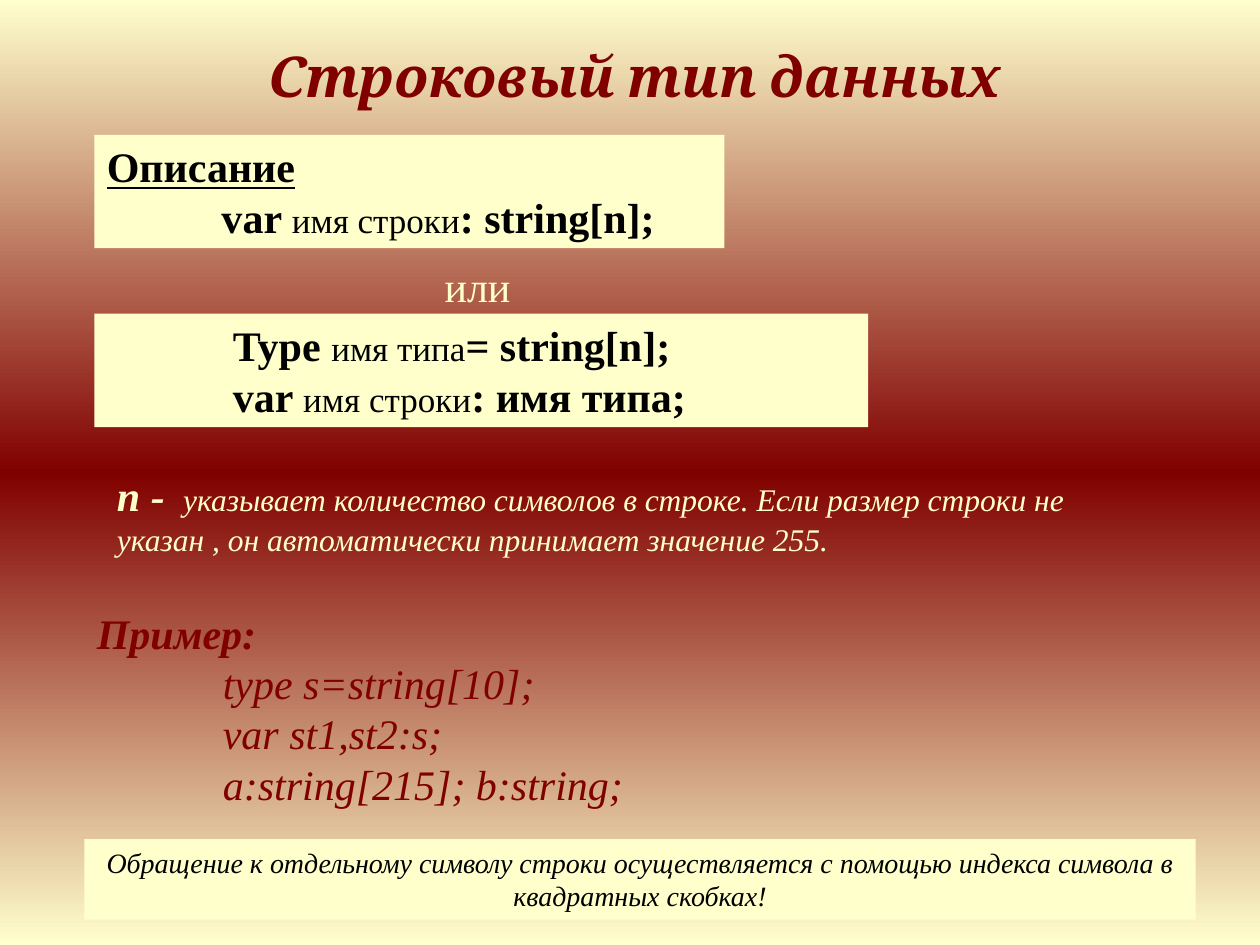
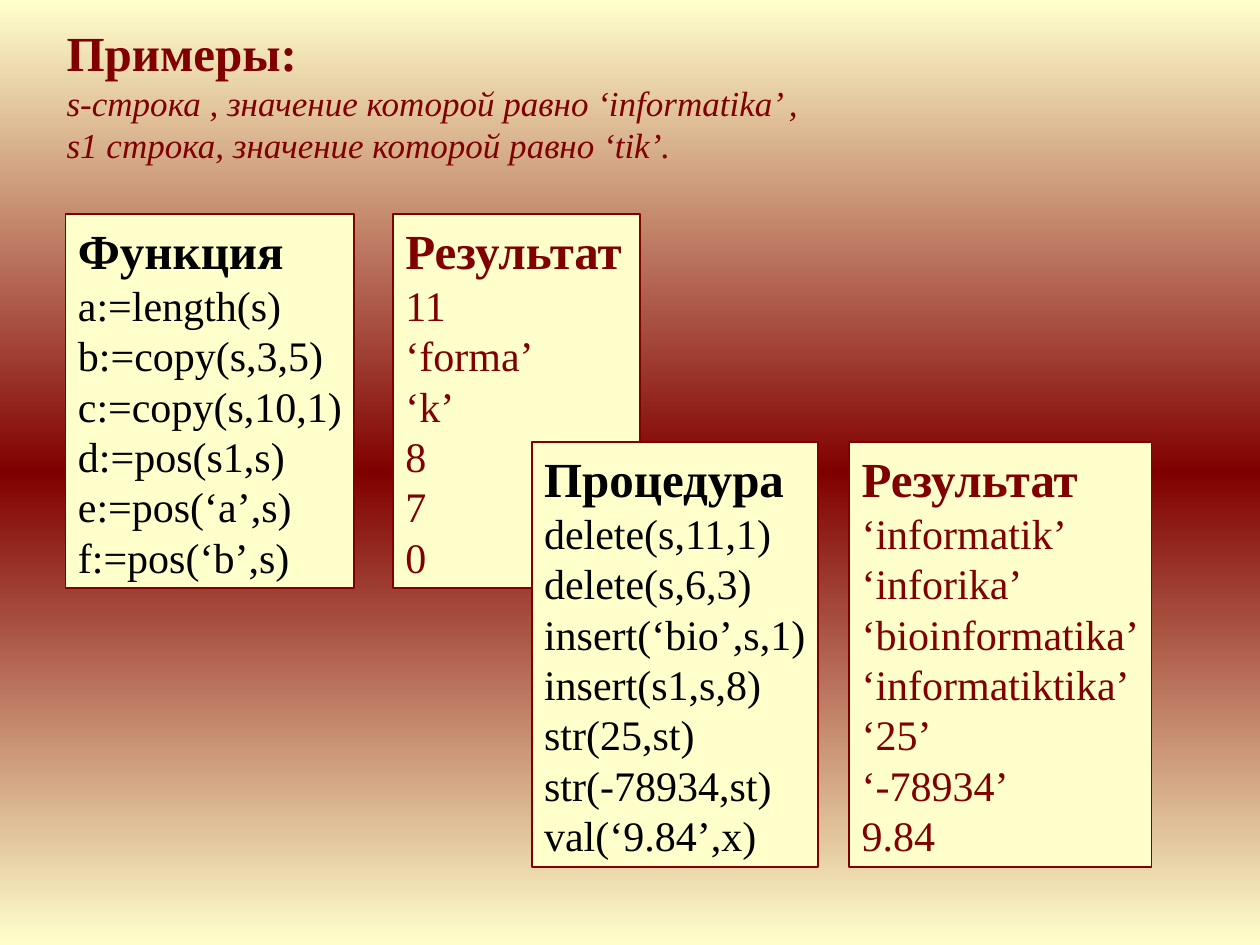
import copy
import dataclasses

import pptx
import pptx.dml.color
import pptx.enum.shapes
import pptx.enum.text
import pptx.oxml.ns
import pptx.util

Inches = pptx.util.Inches
RGB = pptx.dml.color.RGBColor.from_string


@dataclasses.dataclass(frozen=True)
class Theme:
    cream: str = "FFFFCC"
    wine: str = "800000"
    black: str = "000000"
    serif: str = "Times New Roman"
    display: str = "Cambria"
    title: int = 32
    head: int = 28
    code: int = 24
    name: int = 20
    body: int = 18
    note: int = 16


T = Theme()


def new_slide(deck):
    """Add a blank slide with the cream, wine, cream gradient."""
    slide = deck.slides.add_slide(deck.slide_layouts[6])
    fill = slide.background.fill
    fill.gradient()
    fill.gradient_angle = 270
    for stop, color, place in zip(fill.gradient_stops, (T.cream, T.wine), (0, 0.5)):
        stop.color.rgb = RGB(color)
        stop.position = place
    stops = slide.element.find(".//" + pptx.oxml.ns.qn("a:gsLst"))
    last = copy.deepcopy(stops[0])
    last.set("pos", "100000")
    stops.append(last)
    return slide


def write(frame, lines, color, font=T.serif, wrap=True, center=False):
    """Fill a frame; a line is (indent in inches, runs), a run (text, size, style).

    The style holds any of the letters b, i and u.
    """
    frame.word_wrap = wrap
    frame.vertical_anchor = pptx.enum.text.MSO_ANCHOR.TOP
    align = pptx.enum.text.PP_ALIGN
    for num, (indent, runs) in enumerate(lines):
        para = frame.add_paragraph() if num else frame.paragraphs[0]
        para.alignment = align.CENTER if center else align.LEFT
        if indent:
            props = para._p.get_or_add_pPr()
            props.set("marL", str(Inches(indent)))
            props.set("indent", "0")
        for text, size, style in runs:
            run = para.add_run()
            run.text = text
            face = run.font
            face.name = font
            face.size = pptx.util.Pt(size)
            face.color.rgb = RGB(color)
            face.bold = "b" in style
            face.italic = "i" in style
            face.underline = "u" in style


def add_text(slide, box, lines, color, **look):
    shape = slide.shapes.add_textbox(*map(Inches, box))
    write(shape.text_frame, lines, color, **look)


def add_panel(slide, box, lines, color=T.black, edge=False, **look):
    kind = pptx.enum.shapes.MSO_SHAPE.RECTANGLE
    shape = slide.shapes.add_shape(kind, *map(Inches, box))
    shape.shadow.inherit = False
    shape.fill.solid()
    shape.fill.fore_color.rgb = RGB(T.cream)
    if edge:
        shape.line.color.rgb = RGB(T.wine)
        shape.line.width = pptx.util.Pt(1)
    else:
        shape.line.fill.background()
    write(shape.text_frame, lines, color, **look)


def syntax(indent, word, name, rest):
    """Make a line with a plain name between bold code."""
    return indent, [(word + " ", T.code, "b"), (name, T.name, ""), (rest, T.code, "b")]


def add_list(slide, box, head, items, color):
    lines = [(0, [(head, T.head, "b")])]
    lines += [(0, [(item, T.code, "")]) for item in items]
    add_panel(slide, box, lines, color, edge=True, wrap=False)


def add_pair(slide, top, height, columns):
    """Place a list of calls and the list of their results side by side."""
    for (left, width, head, items), color in zip(columns, (T.black, T.wine)):
        add_list(slide, (left, top, width, height), head, items, color)


def type_slide(deck):
    slide = new_slide(deck)
    add_text(slide, (3.43, 2.02, 0.72, 0.5), [(0, [("или", T.code, "")])],
             T.cream, wrap=False)
    add_text(slide, (0.83, 3.68, 8.19, 0.8), [(0, [
        ("n - ", T.code, "bi"),
        (" указывает количество символов в строке. Если размер строки не указан , "
         "он автоматически принимает значение 255.", T.body, "i")])], T.cream)
    sample = ("type s=string[10];", "var st1,st2:s;", "a:string[215]; b:string;")
    add_text(slide, (0.67, 4.77, 4.73, 1.7),
             [(0, [("Пример:", T.code, "bi")])]
             + [(1, [(line, T.code, "i")]) for line in sample], T.wine)
    add_text(slide, (0.67, 0.28, 8.74, 0.64),
             [(0, [("Строковый тип данных", T.title, "bi")])],
             T.wine, font=T.display, center=True)
    add_panel(slide, (0.75, 1.07, 5, 0.9), [
        (0, [("Описание", T.code, "bu")]),
        syntax(0.91, "var", "имя строки", ": string[n];")])
    add_panel(slide, (0.75, 2.49, 6.14, 0.9), [
        syntax(1, "Type", "имя типа", "= string[n];"),
        syntax(1, "var", "имя строки", ": имя типа;")])
    add_panel(slide, (0.67, 6.66, 8.82, 0.64), [(0, [
        ("Обращение к отдельному символу строки осуществляется с помощью "
         "индекса символа в квадратных скобках!", T.note, "i")])], center=True)


def sample_slide(deck):
    slide = new_slide(deck)
    add_text(slide, (0.43, 0.13, 8.98, 1.64), [
        (0, [("Примеры:", T.head, "b")]),
        (0, [("s-строка , значение которой равно ‘informatika’ ,", T.name, "i")]),
        (0, [("s1 строка, значение которой равно ‘tik’.", T.name, "i")])], T.wine)
    add_pair(slide, 1.7, 2.97, (
        (0.52, 2.29, "Функция",
         ("a:=length(s)", "b:=copy(s,3,5)", "c:=copy(s,10,1)",
          "d:=pos(s1,s)", "e:=pos(‘a’,s)", "f:=pos(‘b’,s)")),
        (3.12, 1.96, "Результат", ("11", "‘forma’", "‘k’", "8", "7", "0"))))
    add_pair(slide, 3.51, 3.37, (
        (4.22, 2.27, "Процедура",
         ("delete(s,11,1)", "delete(s,6,3)", "insert(‘bio’,s,1)",
          "insert(s1,s,8)", "str(25,st)", "str(-78934,st)", "val(‘9.84’,x)")),
        (6.74, 2.4, "Результат",
         ("‘informatik’", "‘inforika’", "‘bioinformatika’",
          "‘informatiktika’", "‘25’", "‘-78934’", "9.84"))))


def main():
    deck = pptx.Presentation()
    deck.slide_width = Inches(10)
    deck.slide_height = Inches(7.5)
    type_slide(deck)
    sample_slide(deck)
    deck.save("out.pptx")


if __name__ == "__main__":
    main()
